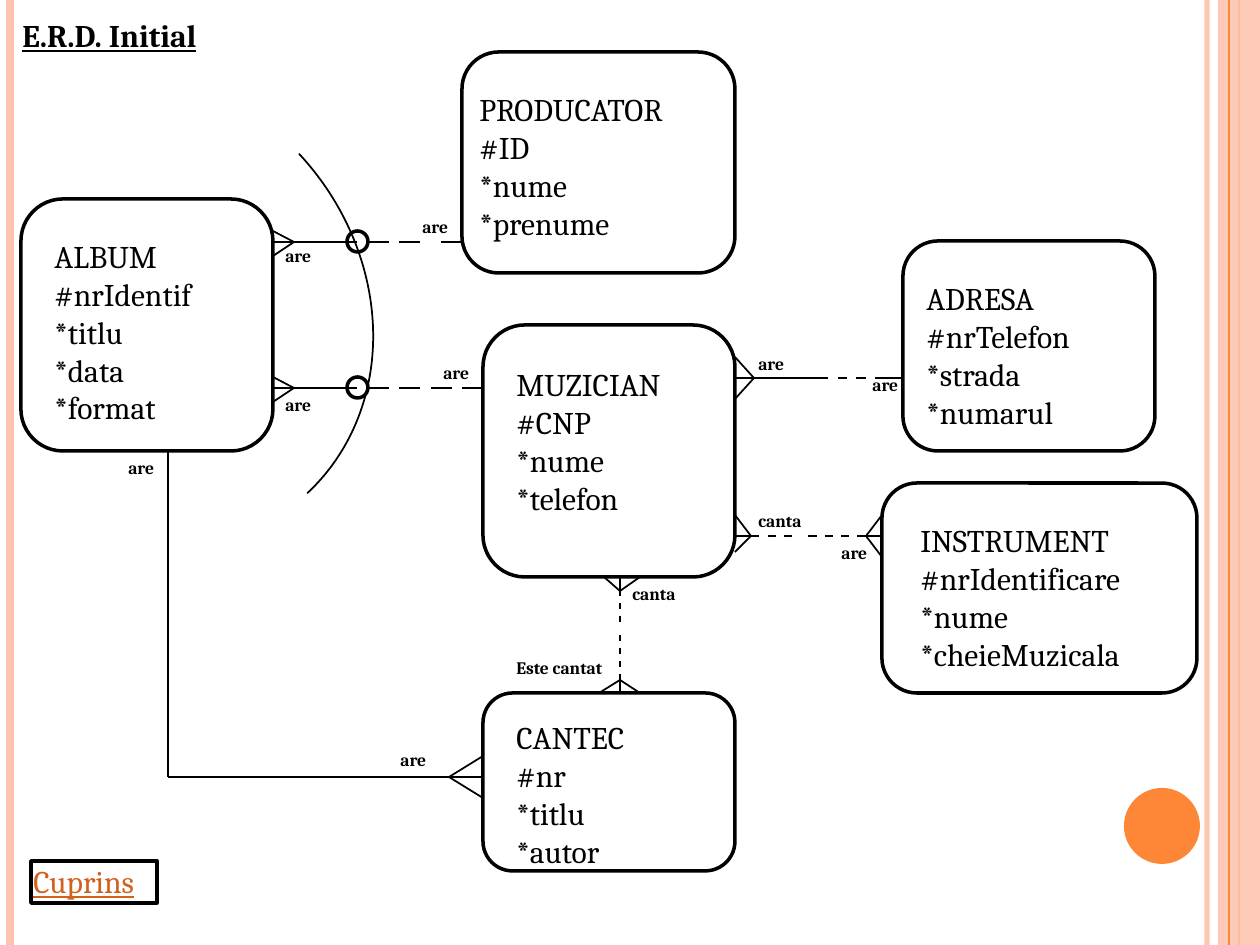
from dataclasses import dataclass

from lxml import etree
from pptx import Presentation
from pptx.dml.color import RGBColor
from pptx.enum.shapes import MSO_CONNECTOR, MSO_SHAPE
from pptx.oxml.ns import qn
from pptx.util import Emu, Pt

STRAIGHT = MSO_CONNECTOR.STRAIGHT
RECTANGLE = MSO_SHAPE.RECTANGLE
ROUNDED = MSO_SHAPE.ROUNDED_RECTANGLE
OVAL = MSO_SHAPE.OVAL
ARC = MSO_SHAPE.ARC

EMU_PER_PX = 914400 / 126
PAGE = (0, 0, 1260, 945)
DASHES = (0, 1, 2, 4, 6, 9, 11, 13, 15, 16, 17)
DASH_SLOTS = 18


@dataclass(frozen=True)
class Theme:
    font: str = "Cambria"
    ink: str = "000000"
    paper: str = "FFFFFF"
    peach: str = "FEC3AE"
    orange: str = "FE8637"
    link: str = "D2611C"
    body_size: int = 18
    label_size: int = 10
    outline: float = 2
    thin: float = 1


THEME = Theme()


def px(value):
    return Emu(round(value * EMU_PER_PX))


def set_alpha(fill_element, percent):
    color = fill_element.find(".//" + qn("a:srgbClr"))
    etree.SubElement(color, qn("a:alpha"), val=str(percent * 1000))


def add_line(shapes, start, end, color=THEME.ink, width=THEME.thin, alpha=None):
    connector = shapes.add_connector(STRAIGHT, *map(px, (*start, *end)))
    connector.line.color.rgb = RGBColor.from_string(color)
    connector.line.width = Pt(width)
    properties = connector.element.spPr
    if alpha:
        set_alpha(properties.find(qn("a:ln")), alpha)
    etree.SubElement(properties, qn("a:effectLst"))


def add_outline(shapes, kind, box, fill=None, line=THEME.ink, width=THEME.outline):
    shape = shapes.add_shape(kind, *map(px, box))
    shape.shadow.inherit = False
    if fill:
        shape.fill.solid()
        shape.fill.fore_color.rgb = RGBColor.from_string(fill)
    else:
        shape.fill.background()
    if line:
        shape.line.color.rgb = RGBColor.from_string(line)
        shape.line.width = Pt(width)
    else:
        shape.line.fill.background()
    return shape


def add_text(shapes, box, lines, size=THEME.body_size, color=THEME.ink, **extra):
    frame = shapes.add_textbox(*map(px, box)).text_frame
    frame.word_wrap = True
    font_values = {"name": THEME.font, "size": Pt(size), **extra}
    for index, line in enumerate(lines):
        paragraph = frame.add_paragraph() if index else frame.paragraphs[0]
        run = paragraph.add_run()
        run.text = line
        for name, value in font_values.items():
            setattr(run.font, name, value)
        run.font.color.rgb = RGBColor.from_string(color)


def add_label(shapes, left, top, text="are", width=63):
    add_text(shapes, (left, top, width, 34), [text], THEME.label_size, bold=True)


def add_crow_foot(shapes, tip, toes):
    for toe in toes:
        add_line(shapes, tip, toe)


def add_page_frame(slide, box):
    left, top, width, height = box
    right, bottom = left + width, top + height
    shapes = slide.shapes

    def rule(x, color, line_width, alpha=None):
        add_line(shapes, (x, top), (x, bottom), color, line_width, alpha)

    rule(right - 53, THEME.peach, 3, 93)
    rule(left + 10, THEME.peach, 4.5)
    rule(right - 21, THEME.orange, 1.5)
    band = add_outline(shapes, RECTANGLE, (right - 42, top, 42, height), THEME.peach, None)
    set_alpha(band.element.spPr.find(qn("a:solidFill")), 87)
    rule(right - 31, THEME.orange, 0.75)
    add_outline(shapes, OVAL, (right - 136, bottom - 157, 76, 76), THEME.orange, None)


def add_contents_button(slide, box):
    left, top, width, height = box
    add_text(slide.shapes, (left - 10, top - 5, width + 73, 50), ["Cuprins"],
             color=THEME.link, underline=True)
    add_outline(slide.shapes, RECTANGLE, box)


def add_entity(slide, box, text_offset, text_width, lines):
    left, top = box[:2]
    group = slide.shapes.add_group_shape()
    add_outline(group.shapes, ROUNDED, box, THEME.paper)
    text_box = (left + text_offset[0], top + text_offset[1], text_width, 38 * len(lines) + 13)
    add_text(group.shapes, text_box, lines)


def add_dashed_link(slide, box, feet, labels, dashes=DASHES):
    """Dash along the box's longer way; feet and labels are offsets from its corner."""
    left, top, width, height = box
    shapes = slide.shapes.add_group_shape().shapes
    for slot in dashes:
        start, end = (
            (left + width * step / DASH_SLOTS, top + height * step / DASH_SLOTS)
            for step in (slot, slot + 1)
        )
        add_line(shapes, start, end)
    for foot in feet:
        tip, *toes = [(left + x, top + y) for x, y in foot]
        add_crow_foot(shapes, tip, toes)
    for x, y, *text in labels:
        add_label(slide.shapes, left + x, top + y, *text)


def add_album_link(slide, box, dash_starts, near_label_top):
    """Solid half, ring and dashes running right from the album at the box's top."""
    left, top, width, _ = box
    shapes = slide.shapes
    add_line(shapes, (left, top), (left + 84, top))
    for start in dash_starts:
        add_line(shapes, (left + start, top), (left + start + 21, top))
    add_crow_foot(shapes, (left + 21, top), [(left, top - 11), (left, top + 14)])
    add_outline(shapes, OVAL, (left + 74, top - 11, 21, 21))
    add_label(shapes, left, top + near_label_top)
    add_label(shapes, left + width - 52, top - 32)


def add_exclusive_arc(slide, box):
    add_outline(slide.shapes, ARC, box, width=THEME.thin).rotation = 47


def add_song_link(slide, box):
    left, top, width, height = box
    right, bottom = left + width, top + height
    shapes = slide.shapes
    add_line(shapes, (left, top), (left, bottom))
    add_line(shapes, (left, bottom), (right, bottom))
    add_crow_foot(shapes, (right - 34, bottom), [(right, bottom - 21), (right, bottom + 21)])
    add_label(shapes, left - 52, top)
    add_label(shapes, right - 95, bottom - 34)


ENTITIES = [
    ((483, 325, 252, 252), (21, 34), 210, ["MUZICIAN", "#CNP", "*nume", "*telefon"]),
    ((903, 241, 252, 210), (11, 32), 210, ["ADRESA", "#nrTelefon", "*strada", "*numarul"]),
    ((882, 483, 315, 210), (26, 32), 262,
     ["INSTRUMENT", "#nrIdentificare", "*nume", "*cheieMuzicala"]),
    ((21, 199, 252, 252), (21, 32), 210,
     ["ALBUM", "#nrIdentif", "*titlu", "*data", "*format"]),
    ((483, 693, 252, 178), (21, 19), 210, ["CANTEC", "#nr", "*titlu", "*autor"]),
    ((462, 52, 273, 221), (5, 32), 262, ["PRODUCATOR", "#ID", "*nume", "*prenume"]),
]

DASHED_LINKS = [
    ((735, 536, 147, 0),
     [[(16, 0), (0, -21), (0, 16)], [(131, 0), (147, -21), (147, 21)]],
     [(11, -32, "canta", 105), (94, 0)]),
    ((620, 577, 0, 116),
     [[(0, 14), (20, 0), (-16, 0)], [(0, 103), (-21, 116), (20, 116)]],
     [(0, 0, "canta", 95), (-116, 74, "Este cantat", 136)]),
    ((735, 378, 168, 0),
     [[(19, 0), (0, -21), (0, 21)]],
     [(11, -31), (125, -10)]),
]


def main():
    presentation = Presentation()
    presentation.slide_width, presentation.slide_height = map(px, PAGE[2:])
    slide = presentation.slides.add_slide(presentation.slide_layouts[6])
    add_page_frame(slide, PAGE)
    add_contents_button(slide, (31, 861, 126, 42))
    for entity in ENTITIES:
        add_entity(slide, *entity)
    for link in DASHED_LINKS:
        add_dashed_link(slide, *link)
    add_line(slide.shapes, (735, 378), (819, 378))
    add_song_link(slide, (168, 451, 315, 326))
    add_exclusive_arc(slide, (-120, 82, 508, 451))
    add_album_link(slide, (273, 242, 189, 0), (95, 126, 168), -3)
    add_album_link(slide, (273, 388, 210, 0), (95, 126, 158, 189), 0)
    add_text(slide.shapes, (10, 10, 273, 50), ["E.R.D. Initial"], bold=True, underline=True)
    presentation.save("out.pptx")


if __name__ == "__main__":
    main()
